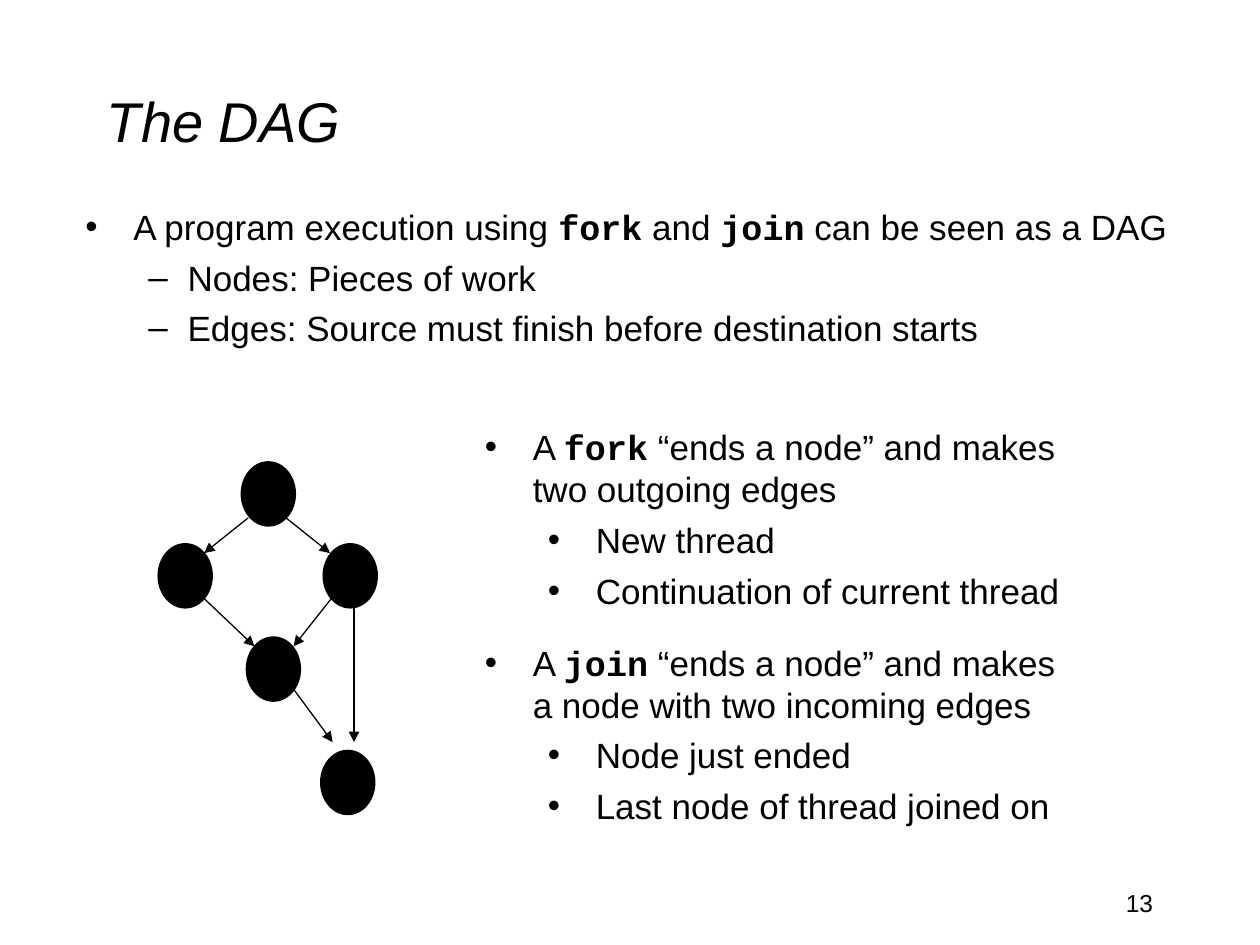
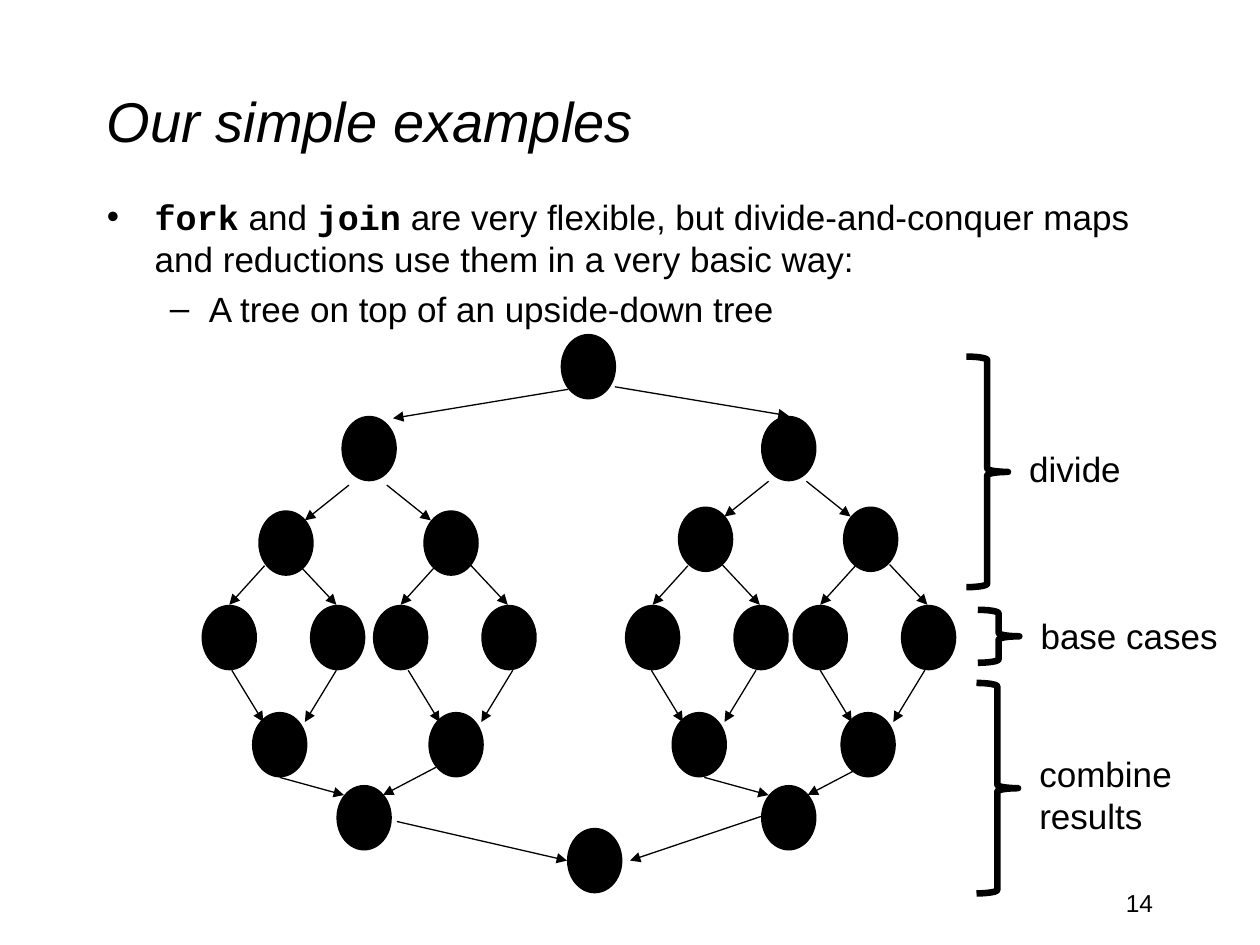
from lxml import etree
from pptx import Presentation
from pptx.dml.color import RGBColor
from pptx.enum import shapes, text
from pptx.oxml import ns
from pptx.util import Inches, Pt

BLACK = "000000"
SANS, MONO = "Arial", "Courier New"
NODE_W, NODE_H = 0.44, 0.52

# Bullet styles: (character, text margin, hanging indent)
TOP = ("•", 0.38, 0.38)
DASH = ("–", 0.81, 0.31)
SUB = ("•", 0.88, 0.38)


def color(hex_value):
    return RGBColor.from_string(hex_value)


def add_runs(p, content, size=20, italic=False):
    """Add text to a paragraph; parts between backticks become bold code."""
    for i, part in enumerate(content.split("`")):
        if part:
            is_code = i % 2 == 1
            r = p.add_run()
            r.text = part
            r.font.name = MONO if is_code else SANS
            r.font.size = Pt(size)
            r.font.bold = is_code
            r.font.italic = italic
            r.font.color.rgb = color(BLACK)


def text_frame(s, x, y, w, h, anchor=text.MSO_ANCHOR.TOP, wrap=True):
    tf = s.shapes.add_textbox(Inches(x), Inches(y), Inches(w), Inches(h)).text_frame
    tf.word_wrap = wrap
    tf.vertical_anchor = anchor
    return tf


def add_text(s, content, x, y, w, h, size=20, italic=False,
             align=text.PP_ALIGN.LEFT, **frame):
    p = text_frame(s, x, y, w, h, **frame).paragraphs[0]
    p.alignment = align
    add_runs(p, content, size, italic)


def add_bullets(s, items, x, y, w, h):
    """Fill a box with (style, text) items; a third value sets the space before."""
    tf = text_frame(s, x, y, w, h)
    for i, (style, content, *gap) in enumerate(items):
        char, margin, hang = style
        p = tf.paragraphs[0] if i == 0 else tf.add_paragraph()
        p.level = 0 if style == TOP else 1
        p.space_before = Pt(gap[0] if gap else 5)
        pPr = p._p.get_or_add_pPr()
        pPr.set("marL", str(Inches(margin)))
        pPr.set("indent", str(-Inches(hang)))
        etree.SubElement(pPr, ns.qn("a:buFont"), typeface=SANS)
        etree.SubElement(pPr, ns.qn("a:buChar"), char=char)
        add_runs(p, content)


def add_node(s, x, y):
    node = s.shapes.add_shape(shapes.MSO_SHAPE.OVAL, Inches(x), Inches(y),
                              Inches(NODE_W), Inches(NODE_H))
    node.shadow.inherit = False
    node.fill.solid()
    node.fill.fore_color.rgb = color(BLACK)
    node.line.fill.background()


def add_edge(s, x1, y1, x2, y2):
    edge = s.shapes.add_connector(shapes.MSO_CONNECTOR.STRAIGHT, Inches(x1),
                                  Inches(y1), Inches(x2), Inches(y2))
    edge.line.color.rgb = color(BLACK)
    edge.line.width = Pt(0.75)
    etree.SubElement(edge.line._get_or_add_ln(), ns.qn("a:tailEnd"), type="triangle")
    etree.SubElement(edge._element.spPr, ns.qn("a:effectLst"))


def add_fork(s, x, child_y):
    """Draw the two children of a node at x, with the edges to them."""
    for child_dx, start_dx, end_dx in ((-0.66, 0.06, -0.29), (0.65, 0.36, 0.71)):
        add_node(s, x + child_dx, child_y)
        add_edge(s, x + start_dx, child_y - 0.2, x + end_dx, child_y + 0.08)


def add_brace(s, label, x, y, h, label_y, label_w, label_h=0.44, wrap=False):
    brace = s.shapes.add_shape(shapes.MSO_SHAPE.LEFT_BRACE, Inches(x), Inches(y),
                               Inches(0.33), Inches(h))
    brace.rotation = 180
    brace.shadow.inherit = False
    brace.fill.background()
    brace.line.color.rgb = color(BLACK)
    brace.line.width = Pt(3.75)
    add_text(s, label, x + 0.4, label_y, label_w, label_h, wrap=wrap)


def add_slide(prs, title, number):
    s = prs.slides.add_slide(prs.slide_layouts[6])
    add_text(s, title, 0.75, 0.33, 8.5, 1.25, size=32, italic=True,
             anchor=text.MSO_ANCHOR.MIDDLE)
    add_text(s, str(number), 7.17, 7, 2.08, 0.5, size=14,
             align=text.PP_ALIGN.RIGHT)
    return s


def dag_slide(prs):
    s = add_slide(prs, "The DAG", 13)
    add_bullets(s, [
        (TOP, "A program execution using `fork` and `join` can be seen as a DAG"),
        (DASH, "Nodes: Pieces of work"),
        (DASH, "Edges: Source must finish before destination starts"),
    ], 0.58, 1.58, 8.92, 1.92)
    add_bullets(s, [
        (TOP, "A `fork` “ends a node” and makes two outgoing edges"),
        (SUB, "New thread"),
        (SUB, "Continuation of current thread"),
        (TOP, "A `join` “ends a node” and makes a node with two incoming edges", 17),
        (SUB, "Node just ended"),
        (SUB, "Last node of thread joined on"),
    ], 3.75, 3.33, 4.92, 3.17)

    for x, y in ((1.91, 3.66), (1.95, 5.05), (2.54, 5.95)):
        add_node(s, x, y)
    add_fork(s, 1.91, 4.31)
    for edge in ((1.62, 4.75, 2.02, 5.13), (2.63, 4.75, 2.33, 5.13),
                 (2.81, 4.8, 2.81, 5.89), (2.33, 5.47, 2.64, 5.89)):
        add_edge(s, *edge)


def examples_slide(prs):
    s = add_slide(prs, "Our simple examples", 14)
    add_bullets(s, [
        (TOP, "`fork` and `join` are very flexible, but divide-and-conquer maps "
              "and reductions use them in a very basic way:"),
        (DASH, "A tree on top of an upside-down tree"),
    ], 0.75, 1.5, 8.5, 1.17)

    # Root, and the two halves it divides into
    add_node(s, 4.45, 2.65)
    add_edge(s, 4.51, 3.09, 3.12, 3.32)
    add_edge(s, 4.88, 3.07, 6.26, 3.3)
    for x, child_y in ((2.71, 4.05), (6.04, 4.02)):
        add_node(s, x, 3.3)
        add_fork(s, x, child_y)

    # Pairs of base cases, each with the node that combines it
    for base_x, join_x in ((1.6, 2), (2.96, 3.4), (4.96, 5.33), (6.29, 6.67)):
        add_node(s, base_x, 4.8)
        add_node(s, base_x + 0.86, 4.8)
        add_edge(s, base_x + 0.5, 4.49, base_x + 0.22, 4.8)
        add_edge(s, base_x + 0.77, 4.48, base_x + 1.07, 4.8)
        add_node(s, join_x, 5.65)
        add_edge(s, join_x - 0.16, 5.32, join_x + 0.09, 5.73)
        add_edge(s, join_x + 0.67, 5.32, join_x + 0.42, 5.73)

    # Each half combined, then the final result
    for x in (2.67, 6.04):
        add_node(s, x, 6.23)
        add_edge(s, x - 0.45, 6.17, x + 0.06, 6.31)
        add_edge(s, x + 0.79, 6.09, x + 0.37, 6.31)
    add_node(s, 4.5, 6.57)
    add_edge(s, 3.15, 6.52, 4.5, 6.83)
    add_edge(s, 6.04, 6.48, 5, 6.83)

    add_brace(s, "divide", 7.67, 2.83, 1.83, 3.5, 1.01)
    add_brace(s, "base cases", 7.76, 4.84, 0.42, 4.83, 1.62)
    add_brace(s, "combine results", 7.75, 5.42, 1.67, 5.92, 1.35, 0.77, wrap=True)


def main():
    prs = Presentation()
    prs.slide_width, prs.slide_height = Inches(10), Inches(7.5)
    dag_slide(prs)
    examples_slide(prs)
    prs.save("out.pptx")


if __name__ == "__main__":
    main()
